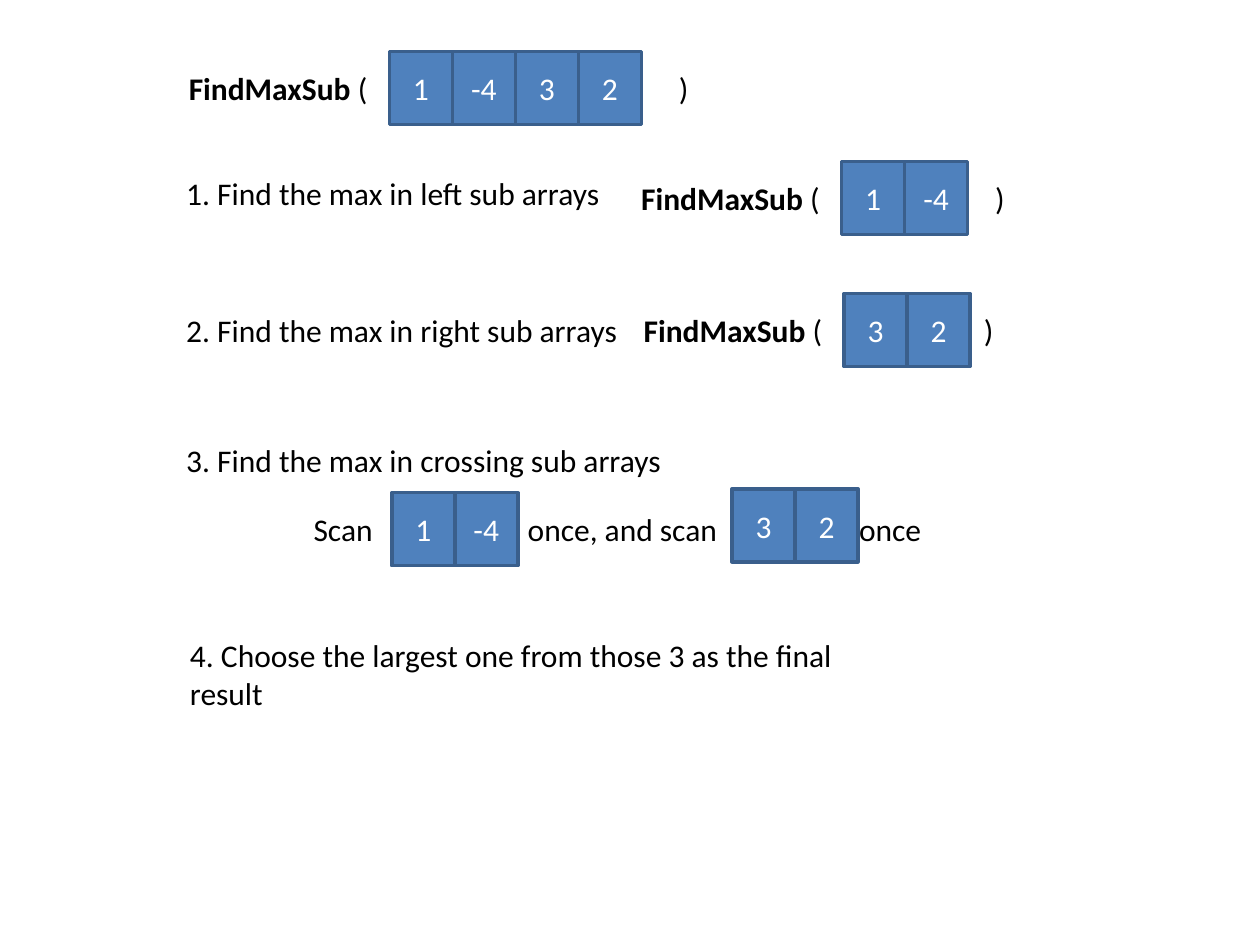
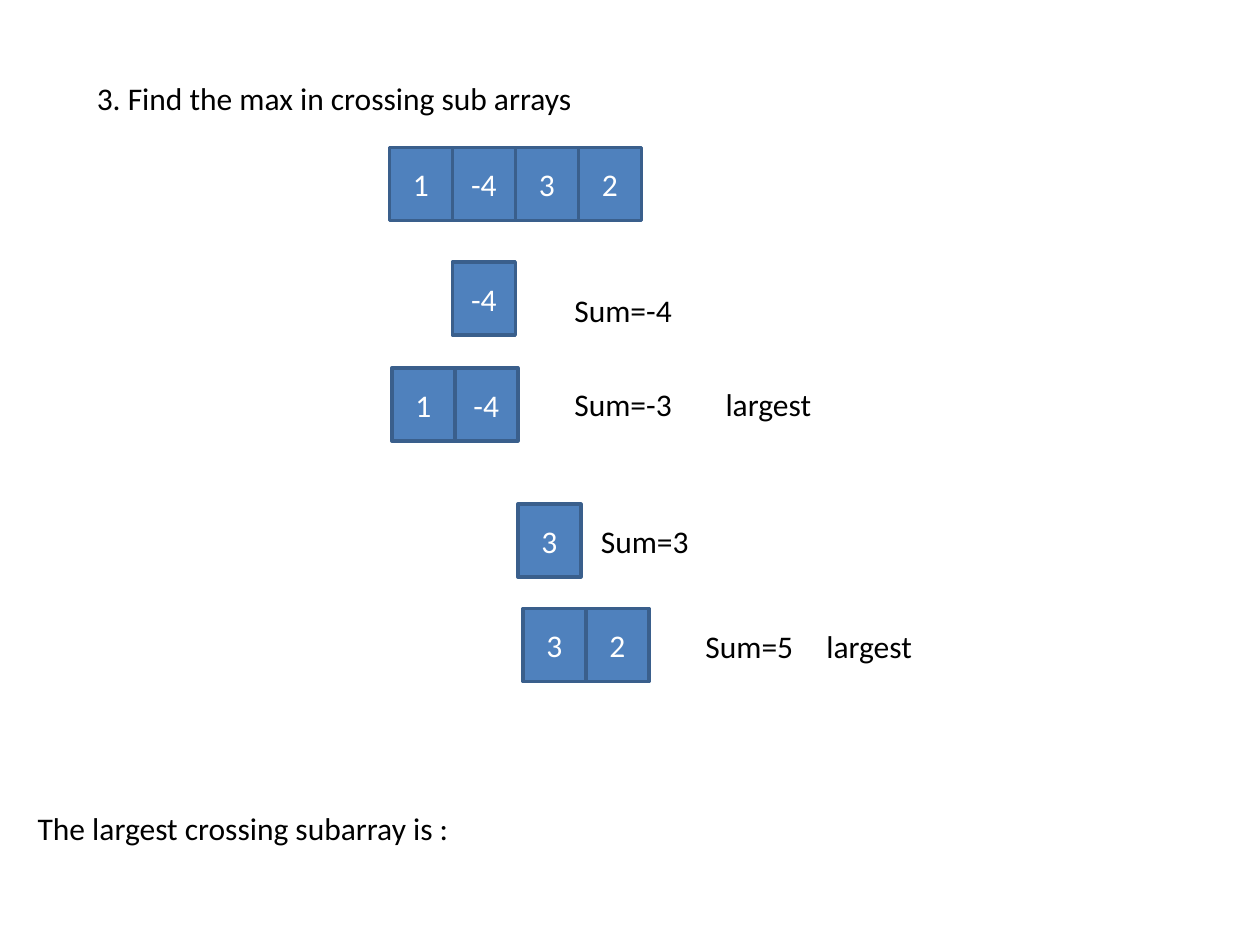
from dataclasses import dataclass

from lxml.etree import SubElement
from pptx import Presentation
from pptx.dml.color import RGBColor
from pptx.enum.shapes import MSO_SHAPE as Shape
from pptx.enum.text import MSO_ANCHOR as Anchor, MSO_AUTO_SIZE as AutoSize, PP_ALIGN as Align
from pptx.oxml.ns import qn
from pptx.util import Inches, Pt


@dataclass(frozen=True)
class Theme:
    font: str = "Calibri"
    size: int = 18
    line_width: int = 2
    text: RGBColor = RGBColor(0x00, 0x00, 0x00)
    cell_text: RGBColor = RGBColor(0xFF, 0xFF, 0xFF)
    cell_fill: RGBColor = RGBColor(0x4F, 0x81, 0xBD)
    cell_line: RGBColor = RGBColor(0x3A, 0x5F, 0x8C)


THEME = Theme()
BLANK_LAYOUT = 6
CELL_WIDTH, CELL_HEIGHT = 0.5, 0.58
LABEL_HEIGHT = 0.4
STEP_WIDTH = 5.37
SUM_WIDTH = 1.58
CROSSING_STEP = "3. Find the max in crossing sub arrays"
ARRAY = (1, -4, 3, 2)
LEFT_HALF, RIGHT_HALF = ARRAY[:2], ARRAY[2:]


def add_span(para, text, color=THEME.text, bold=False):
    span = para.add_run()
    span.text = text
    font_format = {"name": THEME.font, "size": Pt(THEME.size), "bold": bold}
    for name, value in font_format.items():
        setattr(span.font, name, value)
    span.font.color.rgb = color


def set_tab_stops(para, stops):
    """Set left tab stops, in inches from the text edge."""
    tab_list = SubElement(para._p.get_or_add_pPr(), qn("a:tabLst"))
    for stop in stops:
        SubElement(tab_list, qn("a:tab"), pos=str(Inches(stop)), algn="l")


def add_label(slide, left, top, width, *spans, tabs=(), height=LABEL_HEIGHT):
    """Add a one-paragraph text box; each span is (text, bold)."""
    box = slide.shapes.add_textbox(*map(Inches, (left, top, width, height)))
    frame_format = {"word_wrap": True, "auto_size": AutoSize.SHAPE_TO_FIT_TEXT}
    for name, value in frame_format.items():
        setattr(box.text_frame, name, value)
    para = box.text_frame.paragraphs[0]
    if tabs:
        set_tab_stops(para, tabs)
    for text, bold in spans:
        add_span(para, text, bold=bold)


def add_text(slide, left, top, width, text, **options):
    add_label(slide, left, top, width, (text, False), **options)


def add_cell(slide, left, top, value):
    cell = slide.shapes.add_shape(
        Shape.RECTANGLE, *map(Inches, (left, top, CELL_WIDTH, CELL_HEIGHT)))
    cell.shadow.inherit = False
    cell.fill.solid()
    cell.fill.fore_color.rgb = THEME.cell_fill
    cell.line.color.rgb = THEME.cell_line
    cell.line.width = Pt(THEME.line_width)
    cell.text_frame.vertical_anchor = Anchor.MIDDLE
    para = cell.text_frame.paragraphs[0]
    para.alignment = Align.CENTER
    add_span(para, str(value), THEME.cell_text)


def add_array(slide, left, top, values):
    for index, value in enumerate(values):
        add_cell(slide, left + index * CELL_WIDTH, top, value)


def add_call(slide, left, top, width, closing):
    """Write FindMaxSub ( ) with its closing bracket at a tab stop."""
    add_label(slide, left, top, width, ("FindMaxSub", True), (" (\t)", False), tabs=[closing])


def build_recursion_slide(deck):
    slide = deck.slides.add_slide(deck.slide_layouts[BLANK_LAYOUT])
    add_array(slide, 3.09, 0.41, ARRAY)
    add_call(slide, 1.4, 0.5, 4.88, closing=3.89)

    add_text(slide, 1.38, 1.33, STEP_WIDTH, "1. Find the max in left sub arrays")
    add_array(slide, 6.68, 1.28, LEFT_HALF)
    add_call(slide, 4.99, 1.37, 3.51, closing=2.81)

    add_text(slide, 1.38, 2.42, STEP_WIDTH, "2. Find the max in right sub arrays")
    add_array(slide, 6.7, 2.33, RIGHT_HALF)
    add_call(slide, 5.01, 2.42, 3.51, closing=2.7)

    add_text(slide, 1.38, 3.45, STEP_WIDTH, CROSSING_STEP)
    add_text(slide, 2.39, 4, STEP_WIDTH, "Scan\tonce, and scan\tonce", tabs=[1.7, 4.33])
    add_array(slide, 3.11, 3.91, LEFT_HALF)
    add_array(slide, 5.81, 3.88, RIGHT_HALF)

    add_text(slide, 1.41, 5, STEP_WIDTH,
             "4. Choose the largest one from those 3 as the final result", height=0.71)


def build_crossing_slide(deck):
    slide = deck.slides.add_slide(deck.slide_layouts[BLANK_LAYOUT])
    add_text(slide, 0.67, 0.58, STEP_WIDTH, CROSSING_STEP)
    add_array(slide, 3.09, 1.17, ARRAY)

    scans = [  # array left, array top, values, sum left, sum top, largest left
        (3.59, 2.08, LEFT_HALF[1:], 4.46, 2.26, None),
        (3.11, 2.92, LEFT_HALF, 4.46, 3.01, 5.66),
        (4.11, 4, RIGHT_HALF[:1], 4.67, 4.09, None),
        (4.15, 4.83, RIGHT_HALF, 5.5, 4.93, 6.46),
    ]
    for left, top, values, sum_left, sum_top, largest_left in scans:
        add_array(slide, left, top, values)
        add_text(slide, sum_left, sum_top, SUM_WIDTH, f"Sum={sum(values)}")
        if largest_left is not None:
            add_text(slide, largest_left, sum_top, SUM_WIDTH, "largest")

    add_text(slide, 0.2, 6.37, 3.91, "The largest crossing subarray is :")


def main():
    deck = Presentation()
    deck.slide_width, deck.slide_height = Inches(10), Inches(7.5)
    build_recursion_slide(deck)
    build_crossing_slide(deck)
    deck.save("out.pptx")


if __name__ == "__main__":
    main()
